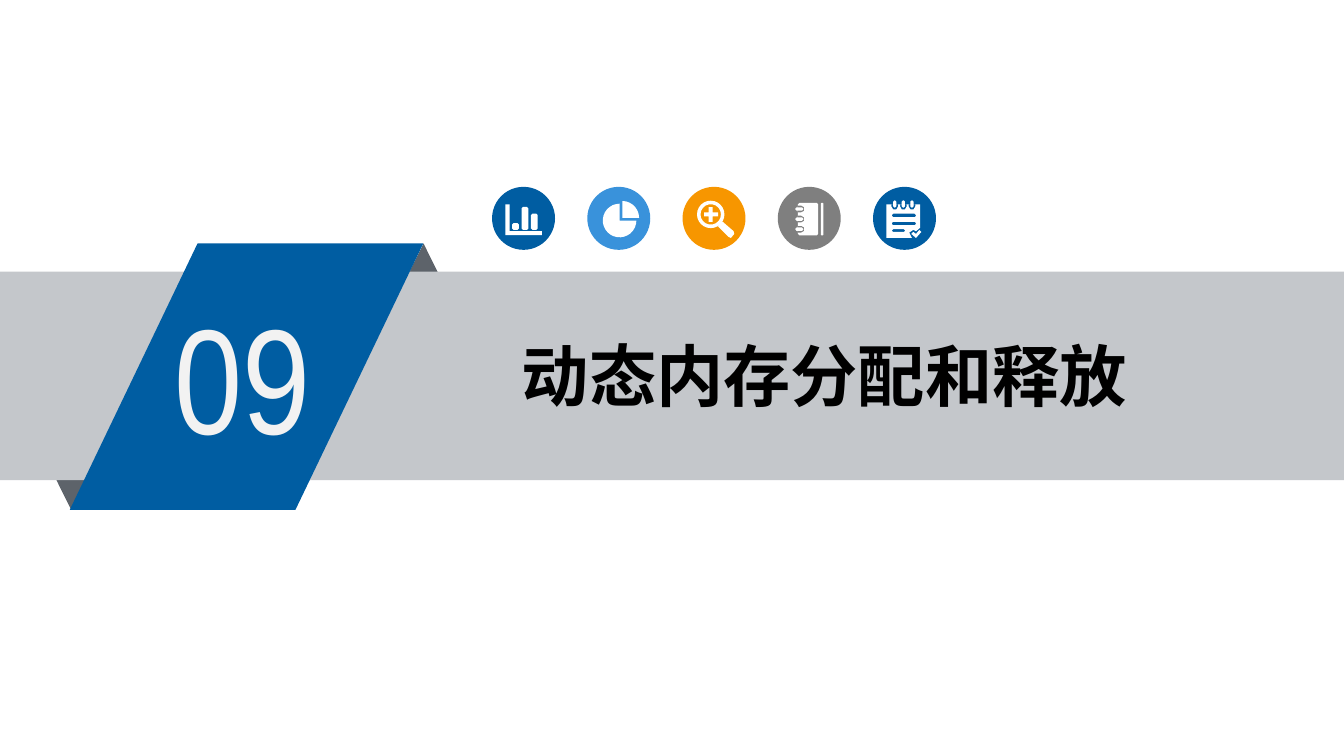
"""Build the chapter 09 section slide with its ribbon, title and icon row."""
from dataclasses import dataclass
from math import cos, radians, sin

from lxml import etree
from pptx import Presentation
from pptx.dml.color import RGBColor
from pptx.enum.shapes import MSO_SHAPE
from pptx.enum.text import MSO_ANCHOR, MSO_AUTO_SIZE, PP_ALIGN
from pptx.oxml.ns import qn
from pptx.slide import Slide
from pptx.util import Cm, Pt

RECT = MSO_SHAPE.RECTANGLE
OVAL = MSO_SHAPE.OVAL
FOLD = MSO_SHAPE.ISOSCELES_TRIANGLE
RIBBON = MSO_SHAPE.PARALLELOGRAM
MIDDLE = MSO_ANCHOR.MIDDLE
FIXED = MSO_AUTO_SIZE.NONE
LEFT, CENTER = PP_ALIGN.LEFT, PP_ALIGN.CENTER

BLUE = RGBColor(0x00, 0x5D, 0xA2)
SKY = RGBColor(0x39, 0x92, 0xDB)
ORANGE = RGBColor(0xF7, 0x96, 0x00)
GRAY = RGBColor(0x7F, 0x7F, 0x7F)
SLATE = RGBColor(0x5D, 0x63, 0x6A)
SILVER = RGBColor(0xC4, 0xC7, 0xCB)
PALE = RGBColor(0xF2, 0xF2, 0xF2)
WHITE = RGBColor(0xFF, 0xFF, 0xFF)
BLACK = RGBColor(0x00, 0x00, 0x00)

UNIT = Cm(0.0254)
DISC, STEP, ROW_X, ROW_Y = 1.19, 1.8, 9.3, 3.53

Points = list[tuple[float, float]]


@dataclass
class Block:
    kind: int
    x: float
    y: float
    wide: float
    high: float
    fill: RGBColor
    turn: int = 0


@dataclass
class Icon:
    fill: RGBColor
    paths: list[Points]


def arc(x: float, y: float, r: float, start: int, end: int) -> Points:
    """Return points along a clockwise arc, more of them when it is long."""
    count = max(1, int((end - start) * r / 150))
    angles = [radians(start + (end - start) * i / count) for i in range(count + 1)]
    return [(x + r * cos(a), y + r * sin(a)) for a in angles]


def pill(x: float, y: float, wide: float, high: float, r: float = 1) -> Points:
    """Return the outline of a bar with softened corners."""
    right, low = x + wide - r, y + high - r
    return (arc(x + r, y + r, r, 180, 270) + arc(right, y + r, r, 270, 360)
            + arc(right, low, r, 0, 90) + arc(x + r, low, r, 90, 180))


def slot(x: float, y: float, r: float, back: float, turn: int) -> Points:
    """Return a notch with a round end that points to the given angle."""
    curve = arc(x, y, r, turn - 90, turn + 90)
    dx, dy = back * cos(radians(turn)), back * sin(radians(turn))
    ends = [(px - dx, py - dy) for px, py in (curve[-1], curve[0])]
    return curve + ends


def paint(shape, fill: RGBColor) -> None:
    """Give a shape a flat fill without line or shadow."""
    shape.shadow.inherit = False
    shape.fill.solid()
    shape.fill.fore_color.rgb = fill
    shape.line.fill.background()


def draw_block(slide: Slide, block: Block):
    """Draw one preset shape."""
    box = map(Cm, (block.x, block.y, block.wide, block.high))
    shape = slide.shapes.add_shape(block.kind, *box)
    shape.rotation = block.turn
    paint(shape, block.fill)
    return shape


def draw_icon(slide: Slide, icon: Icon, x: float) -> None:
    """Draw a disc and its white symbol."""
    draw_block(slide, Block(OVAL, x, ROW_Y, DISC, DISC, icon.fill))
    paths = [[(px * UNIT, py * UNIT) for px, py in path] for path in icon.paths]
    pen = slide.shapes.build_freeform(*paths[0][0])
    pen.add_line_segments(paths[0][1:], close=True)
    for path in paths[1:]:
        pen.move_to(*path[0])
        pen.add_line_segments(path[1:], close=True)
    paint(pen.convert_to_shape(Cm(x), Cm(ROW_Y)), WHITE)


def write(shape, text: str, align: int, look: dict, color: RGBColor) -> None:
    """Fill a text shape with one formatted line."""
    frame = shape.text_frame
    layout = {"word_wrap": True, "auto_size": FIXED, "vertical_anchor": MIDDLE,
              "margin_left": Cm(0.19), "margin_right": Cm(0.19),
              "margin_top": Cm(0.1), "margin_bottom": Cm(0.1)}
    for name, value in layout.items():
        setattr(frame, name, value)
    line = frame.paragraphs[0]
    line.alignment = align
    run = line.add_run()
    run.text = text
    for name, value in look.items():
        setattr(run.font, name, value)
    run.font.color.rgb = color
    east = etree.SubElement(run.font._element, qn("a:ea"))
    east.set("typeface", look["name"])


BLOCKS = [
    Block(FOLD, 6.86, 4.6, 2.29, 2.31, SLATE),
    Block(FOLD, 0.2, 7.32, 2.29, 2.31, SLATE, 180),
    Block(RECT, 0, 5.13, 25.4, 3.94, SILVER),
]

CHART = [
    [(10, 13), (13, 13), (13, 33), (37, 33), (37, 36), (10, 36)],
    pill(15, 27, 5, 5), pill(22, 15, 5, 17), pill(29, 20, 5, 12),
]
PIE = [
    [(26, 23)] + arc(26, 23, 12.5, 270, 360),
    [(24, 25)] + arc(24, 25, 12.5, 0, 270),
]
LENS = [
    arc(21, 20.5, 10.2, 0, 360), arc(21, 20.5, 7.6, 0, 360),
    [(16, 19), (19.5, 19), (19.5, 15), (22.5, 15), (22.5, 19), (26.5, 19),
     (26.5, 22), (22.5, 22), (22.5, 26), (19.5, 26), (19.5, 22), (16, 22)],
    [(26.5, 29.5), (30, 26), (38, 33), (38.5, 35), (36, 38), (34, 37)],
]
BOOK = [pill(15, 12, 15, 24), pill(32, 12, 2, 24, 0.5)]
for y in (16.5, 24, 31.5):
    BOOK += [slot(17.5, y, 2.5, 2.5, 0), pill(13, y - 1.25, 6, 2.5)]
NOTES = [
    [(10, 13), (35, 13), (35, 30.5), (32, 33), (30, 32), (27, 34), (29, 38), (10, 38)],
    pill(14, 20, 18, 2.5), pill(14, 26, 18, 2.5), pill(14, 31.5, 10, 2),
    [(28.5, 35), (30, 33.5), (32, 35), (34.5, 32), (36, 33.5), (32, 38)],
]
for x in (16.2, 22.6, 29):
    NOTES += [slot(x, 14.5, 2.5, 1.5, 90), pill(x - 1.2, 10, 2.4, 5.5)]

ICONS = [Icon(BLUE, CHART), Icon(SKY, PIE), Icon(ORANGE, LENS),
         Icon(GRAY, BOOK), Icon(BLUE, NOTES)]


def main() -> None:
    """Build and save the slide."""
    deck = Presentation()
    deck.slide_width, deck.slide_height = Cm(25.4), Cm(14.28)
    slide = deck.slides.add_slide(deck.slide_layouts[5])
    for block in BLOCKS:
        draw_block(slide, block)
    ribbon = draw_block(slide, Block(RIBBON, 1.32, 4.6, 6.68, 5.03, BLUE))
    ribbon.adjustments[0] = 0.48

    number = slide.shapes.add_textbox(Cm(3.1), Cm(5.28), Cm(3.68), Cm(3.61))
    write(number, "09", LEFT, {"name": "Arial Narrow", "size": Pt(80)}, PALE)

    title = slide.shapes.title
    place = {"left": 8.28, "top": 6.22, "width": 14.6, "height": 1.73}
    for name, value in place.items():
        setattr(title, name, Cm(value))
    look = {"name": "Noto Sans CJK SC", "size": Pt(36), "bold": True}
    write(title, "动态内存分配和释放", CENTER, look, BLACK)
    title.element.getparent().append(title.element)

    for i, icon in enumerate(ICONS):
        draw_icon(slide, icon, ROW_X + i * STEP)
    deck.save("out.pptx")


if __name__ == "__main__":
    main()
